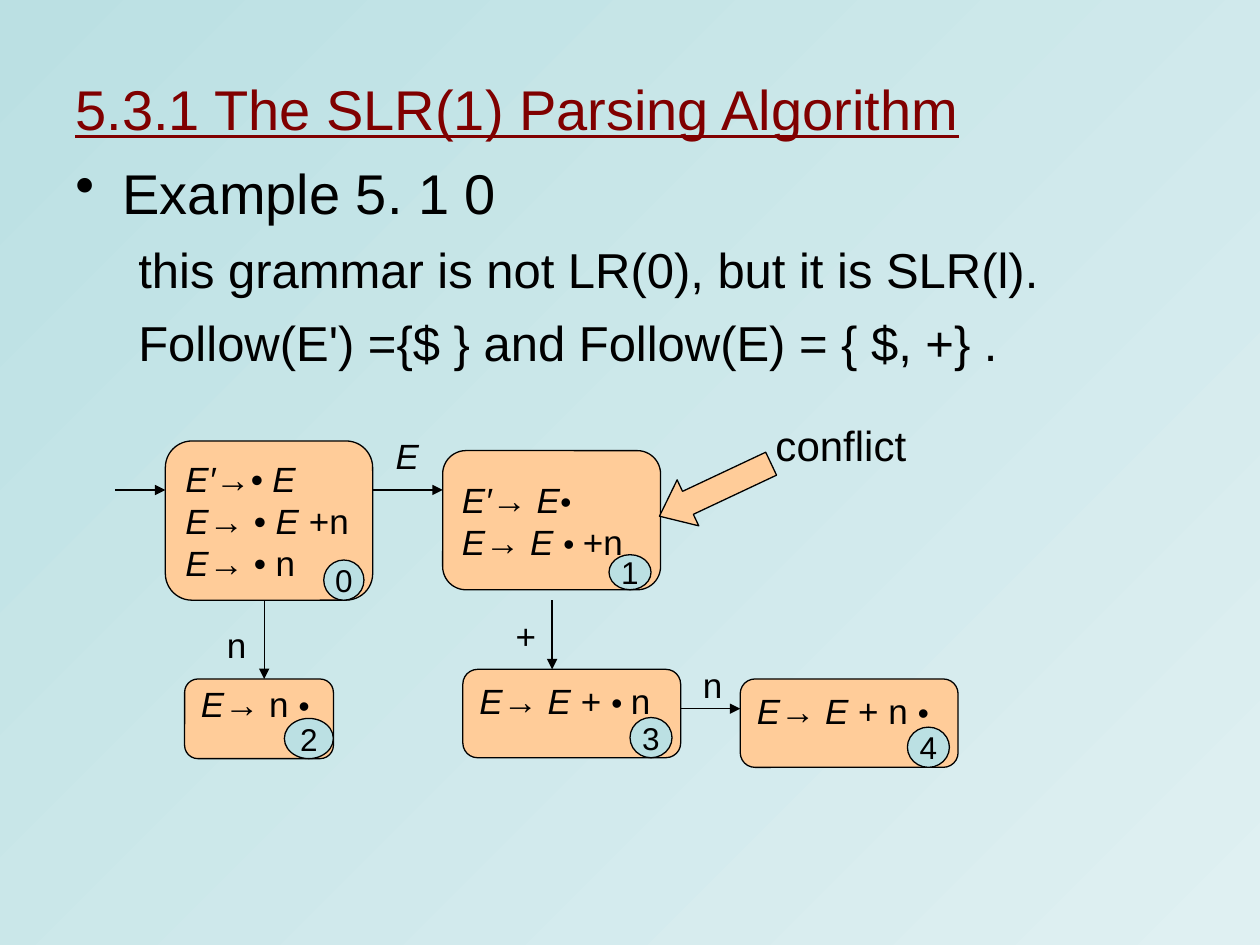
from pptx import Presentation
from pptx.dml.color import RGBColor
from pptx.enum.shapes import MSO_CONNECTOR, MSO_SHAPE
from pptx.enum.text import MSO_ANCHOR, PP_ALIGN
from pptx.oxml.ns import qn
from pptx.util import Pt
from lxml.etree import SubElement

COLORS = {"sky": "BBE0E3", "pale": "DFF0F2", "peach": "FFCC99",
          "maroon": "800000", "black": "000000"}
FONT = "Arial"

TITLE = "5.3.1 The SLR(1) Parsing Algorithm"
# text, size, left margin, first-line indent, space before, bullet
BODY = [
    ("Example 5. 1 0", 32, 27, -27, 0, "•"),
    ("this grammar is not LR(0), but it is SLR(l).", 28, 58.5, -22.5, 8, None),
    ("Follow(E') ={$ } and Follow(E) = { $, +} .", 28, 58.5, -22.5, 8, None),
]
# Items switch between italic and upright at each bar, starting with italic.
STATES = [
    dict(box=(94.5, 252, 118.5, 91), items=["E′|→|• E", "E|→ |• E |+n", "E|→ |• |n"],
         dot=20, anchor=MSO_ANCHOR.MIDDLE, top=3.6, badge=(23, 23), gap=5),
    dict(box=(253, 257.5, 124.5, 79.5), items=["E′|→| E•", "E|→ |E • |+n"],
         dot=18, anchor=MSO_ANCHOR.MIDDLE, top=3.6, badge=(24, 20), gap=5.5),
    dict(box=(105.5, 388, 85, 45.5), items=["E|→ n |•"],
         dot=18, anchor=MSO_ANCHOR.TOP, top=0, badge=(28, 23), gap=0),
    dict(box=(264.5, 382.5, 124.5, 50.5), items=["E|→ |E |+ |• |n"],
         dot=18, anchor=MSO_ANCHOR.TOP, top=3.6, badge=(24, 23), gap=5),
    dict(box=(423, 388, 124.5, 50.5), items=["E|→ |E |+ n |•"],
         dot=18, anchor=MSO_ANCHOR.TOP, top=3.6, badge=(24, 23), gap=5),
]
# start, end, label, label centre, italic
TRANSITIONS = [
    ((66, 280), (94.5, 280), None, None, False),
    ((213, 280), (253, 280), "E", (230.5, 260.5), True),
    ((151, 343), (151, 388), "n", (134, 368.5), False),
    ((315.5, 343), (315.5, 382.5), "+", (299, 363), False),
    ((389, 405), (423, 405), "n", (406, 391), False),
]


def color(name):
    return RGBColor.from_string(COLORS[name])


def style(font, size, name="black"):
    font.name, font.size, font.color.rgb = FONT, Pt(size), color(name)


def add_text(slide, box, text, size, name="black", align=PP_ALIGN.CENTER, wrap=False):
    frame = slide.shapes.add_textbox(*map(Pt, box)).text_frame
    frame.word_wrap, frame.vertical_anchor = wrap, MSO_ANCHOR.MIDDLE
    paragraph = frame.paragraphs[0]
    paragraph.text, paragraph.alignment = text, align
    style(paragraph.font, size, name)
    return paragraph


def add_outlined(slide, kind, box, fill):
    shape = slide.shapes.add_shape(kind, *map(Pt, box))
    shape.shadow.inherit = False
    shape.fill.solid()
    shape.fill.fore_color.rgb = color(fill)
    shape.line.color.rgb = color("black")
    shape.line.width = Pt(0.75)
    shape.text_frame.word_wrap = False
    return shape


def add_body(slide):
    frame = slide.shapes.add_textbox(Pt(36), Pt(87), Pt(594), Pt(183)).text_frame
    frame.word_wrap = True
    for i, (text, size, margin, indent, before, bullet) in enumerate(BODY):
        paragraph = frame.paragraphs[0] if i == 0 else frame.add_paragraph()
        paragraph.text = text
        props = paragraph._p.get_or_add_pPr()
        props.set("marL", str(Pt(margin)))
        props.set("indent", str(Pt(indent)))
        if bullet:
            SubElement(props, qn("a:buChar")).set("char", bullet)
        else:
            SubElement(props, qn("a:buNone"))
        paragraph.space_before = Pt(before)
        style(paragraph.font, size)


def add_state(slide, number, state):
    left, top, width, height = state["box"]
    frame = add_outlined(slide, MSO_SHAPE.ROUNDED_RECTANGLE, state["box"], "peach").text_frame
    frame.vertical_anchor, frame.margin_top = state["anchor"], Pt(state["top"])
    for i, item in enumerate(state["items"]):
        paragraph = frame.paragraphs[0] if i == 0 else frame.add_paragraph()
        paragraph.alignment = PP_ALIGN.LEFT
        style(paragraph.font, 20)
        for j, piece in enumerate(item.split("|")):
            before, dot, after = piece.partition("•")
            for text, size in ((before, 20), (dot + after, state["dot"])):
                if text:
                    run = paragraph.add_run()
                    run.text = text
                    style(run.font, size)
                    run.font.italic = j % 2 == 0

    badge_width, badge_height = state["badge"]
    badge_box = (left + width - state["gap"] - badge_width, top + height - badge_height,
                 badge_width, badge_height)
    badge = add_outlined(slide, MSO_SHAPE.OVAL, badge_box, "sky").text_frame
    badge.vertical_anchor = MSO_ANCHOR.MIDDLE
    paragraph = badge.paragraphs[0]
    paragraph.text, paragraph.alignment = str(number), PP_ALIGN.CENTER
    style(paragraph.font, 18)


def add_transition(slide, start, end, label, centre, italic):
    arrow = slide.shapes.add_connector(MSO_CONNECTOR.STRAIGHT, *map(Pt, start + end))
    arrow.line.color.rgb = color("black")
    arrow.line.width = Pt(0.75)
    SubElement(arrow.line._get_or_add_ln(), qn("a:tailEnd")).set("type", "triangle")
    SubElement(arrow._element.spPr, qn("a:effectLst"))
    if label:
        x, y = centre
        add_text(slide, (x - 11.5, y - 8.5, 23, 17), label, 20).font.italic = italic


def main():
    deck = Presentation()
    deck.slide_width, deck.slide_height = Pt(720), Pt(540)
    slide = deck.slides.add_slide(deck.slide_layouts[6])
    background = slide.background.fill
    background.gradient()
    background.gradient_angle = 315
    for stop, name in zip(background.gradient_stops, ("sky", "pale")):
        stop.color.rgb = color(name)

    title = add_text(slide, (36, 37.5, 612, 48), TITLE, 32, "maroon", PP_ALIGN.LEFT, True)
    title.font.underline = True
    add_body(slide)
    for number, state in enumerate(STATES):
        add_state(slide, number, state)
    for transition in TRANSITIONS:
        add_transition(slide, *transition)

    add_text(slide, (400.5, 228.5, 160, 51), "conflict", 24)
    pointer = add_outlined(slide, MSO_SHAPE.LEFT_ARROW, (373.5, 265.5, 70.5, 29), "peach")
    pointer.adjustments[1] = 0.62
    pointer.rotation = 334.8
    deck.save("out.pptx")


if __name__ == "__main__":
    main()
